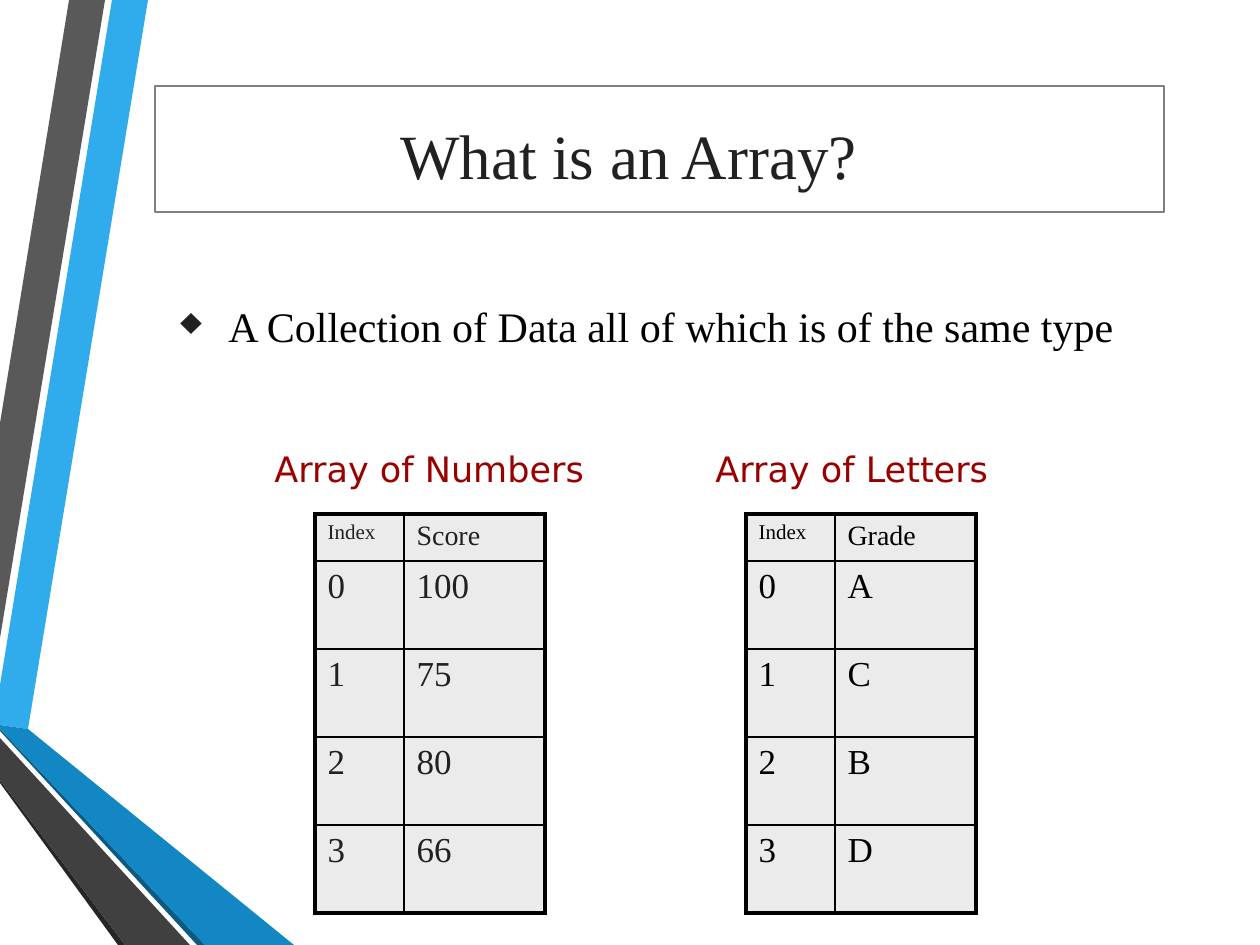
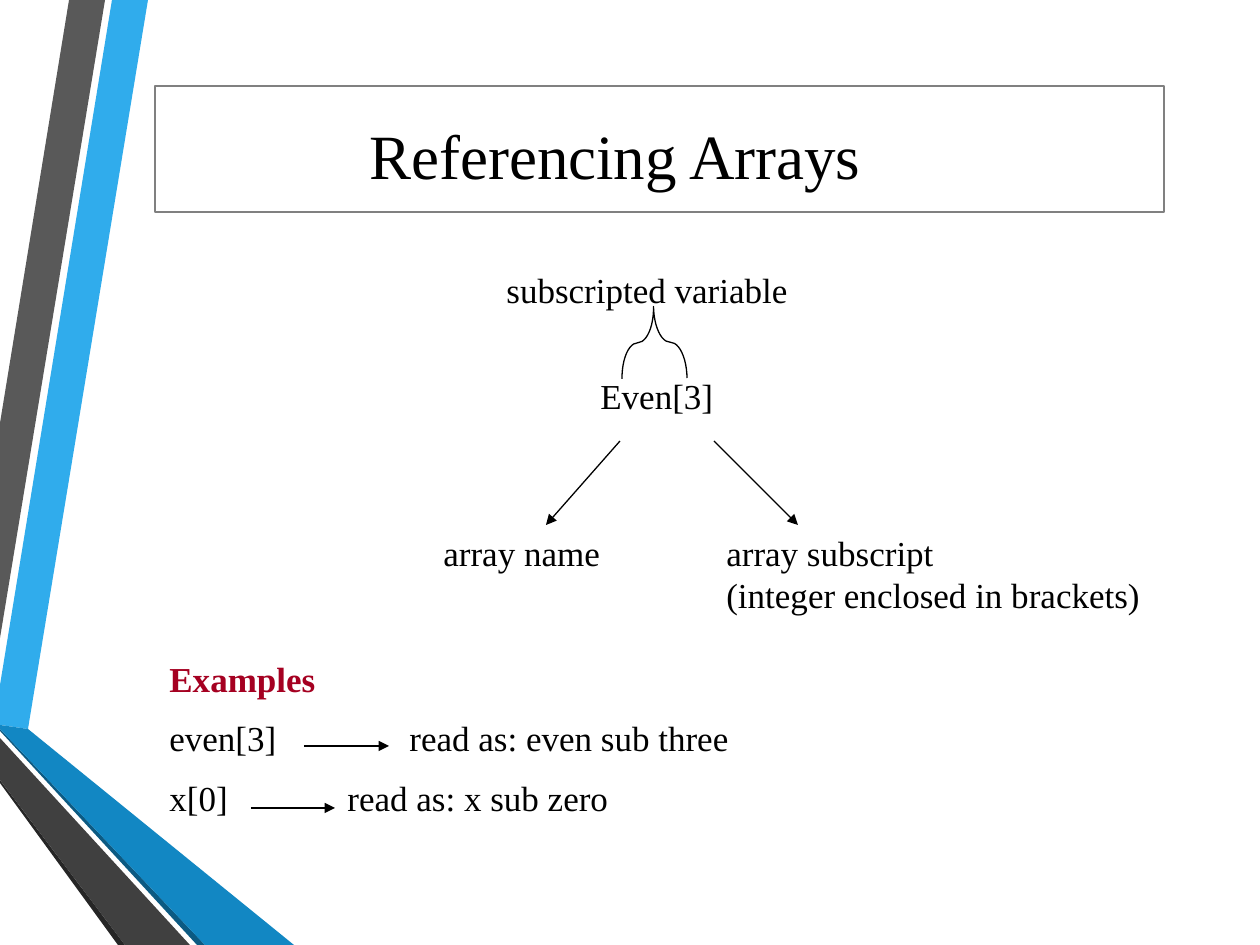
from lxml import etree
from pptx import Presentation
from pptx.dml.color import RGBColor
from pptx.enum.shapes import MSO_CONNECTOR, MSO_SHAPE
from pptx.enum.text import MSO_ANCHOR
from pptx.oxml import parse_xml
from pptx.oxml.ns import qn
from pptx.util import Emu, Pt

STRAIGHT = MSO_CONNECTOR.STRAIGHT
RECT, BRACE = MSO_SHAPE.RECTANGLE, MSO_SHAPE.LEFT_BRACE
TOP, BOTTOM = MSO_ANCHOR.TOP, MSO_ANCHOR.BOTTOM
NS = 'xmlns:a="http://schemas.openxmlformats.org/drawingml/2006/main"'
SCALE = 914400 / 126
W, H = 1260, 945
SERIF, SANS = "Times New Roman", "DejaVu Sans"
COLORS = {
    "black": "000000", "ink": "212121", "white": "FFFFFF", "frame": "808080",
    "cell": "EBEBEB", "caption": "990000", "heading": "A50021",
    "sky": "30ACEC", "gray": "595959", "shade": "262626",
    "navy": "0C5A82", "blue": "1287C3", "charcoal": "404040",
}

# Shared content: ribbon outlines and title frame
RIBBONS = [
    ("sky", [(0, 685), (0, 725), (28, 729), (148, 0), (112, 0)]),
    ("gray", [(105, 0), (69, 0), (0, 423), (0, 638)]),
    ("shade", [(0, 780), (0, 783), (118, H), (125, H)]),
    ("navy", [(0, 729), (0, 731), (197, H), (205, H)]),
    ("blue", [(0, 729), (205, H), (294, H), (28, 729), (0, 725)]),
    ("charcoal", [(0, 780), (125, H), (190, H), (0, 738)]),
]
FRAME = (155, 86, 1009, 126)

# Slide 1 content
DEFINITION = "A Collection of Data all of which is of the same type"
ARRAYS = [
    dict(caption="Array of Numbers", caption_box=(262, 441, 336, 54), left=315,
         color="ink", head=("Index", "Score"), values=["100", "75", "80", "66"]),
    dict(caption="Array of Letters", caption_box=(703, 441, 300, 54), left=746,
         color="black", head=("Index", "Grade"), values=["A", "C", "B", "D"]),
]
TABLE_TOP, COL_WIDTHS, HEAD_H, ROW_H = 514, (89, 141), 47, 88
HEAD_SIZES, VALUE_SIZE = (12, 16), 20

# Slide 2 content
LABELS = [
    ((588, 368, 139, 55), ["Even[3]"]),
    ((494, 262, 309, 55), ["subscripted variable"]),
    ((431, 525, 183, 55), ["array name"]),
    ((714, 525, 441, 97), ["array subscript", "(integer enclosed in brackets)"]),
]
EXAMPLES = [
    ("Examples", dict(color="heading", bold=True)),
    ("even[3]\tread as: even sub three", dict(tab=240)),
    ("x[0]\tread as: x sub zero", dict(tab=178)),
]
ARROWS = [(620, 441, 546, 525), (714, 441, 798, 525),
          (304, 746, 389, 746), (251, 808, 335, 808)]
BRACE_BOX = (618, 310, 72, 65)


def px(n):
    return Emu(round(n * SCALE))


def rgb(name):
    return RGBColor.from_string(COLORS[name])


def fill(sp, name):
    sp.fill.solid()
    sp.fill.fore_color.rgb = rgb(name)


def write(p, text, size=20, color="black", font=SERIF, bold=False,
          before=0, tab=None, bullet=None, shadow=False):
    """Fill one paragraph; before is a share of the text size."""
    p.space_before = Pt(size * before)
    r = p.add_run()
    r.text = text
    r.font.size, r.font.name, r.font.bold = Pt(size), font, bold
    r.font.color.rgb = rgb(color)
    pPr = p._p.get_or_add_pPr()
    if bullet:
        pPr.set("marL", str(px(48)))
        pPr.set("indent", str(-px(48)))
        for xml in (f'<a:buClr {NS}><a:srgbClr val="{COLORS["ink"]}"/></a:buClr>',
                    f'<a:buSzPct {NS} val="90000"/>',
                    f'<a:buChar {NS} char="{bullet}"/>'):
            pPr.append(parse_xml(xml))
    if tab:
        pPr.append(parse_xml(
            f'<a:tabLst {NS}><a:tab pos="{px(tab)}" algn="l"/></a:tabLst>'))
    if shadow:
        r.font._element.find(qn("a:solidFill")).addnext(parse_xml(
            f'<a:effectLst {NS}><a:outerShdw dist="38100" dir="2700000">'
            '<a:srgbClr val="C0C0C0"/></a:outerShdw></a:effectLst>'))


def add_text(slide, box, paras, wrap=True, anchor=TOP, **fmt):
    """Add a text box; a paragraph is a string or (string, own format)."""
    tf = slide.shapes.add_textbox(*map(px, box)).text_frame
    tf.word_wrap, tf.vertical_anchor = wrap, anchor
    for i, para in enumerate(paras):
        text, own = (para, {}) if isinstance(para, str) else para
        p = tf.add_paragraph() if i else tf.paragraphs[0]
        write(p, text, **{**fmt, **own})


def add_base(prs):
    """Start a slide with the ribbons and the title frame."""
    slide = prs.slides.add_slide(prs.slide_layouts[6])
    for color, points in RIBBONS:
        fb = slide.shapes.build_freeform(*points[0], scale=SCALE)
        fb.add_line_segments(points[1:], close=True)
        sp = fb.convert_to_shape()
        sp.shadow.inherit = False
        fill(sp, color)
        sp.line.fill.background()
    sp = slide.shapes.add_shape(RECT, *map(px, FRAME))
    sp.shadow.inherit = False
    fill(sp, "white")
    sp.line.color.rgb, sp.line.width = rgb("frame"), Pt(0.75)
    return slide


def set_borders(cell, widths):
    tcPr = cell._tc.get_or_add_tcPr()
    for i, (side, width) in enumerate(zip("LRTB", widths)):
        tcPr.insert(i, parse_xml(
            f'<a:ln{side} {NS} w="{Pt(width)}"><a:solidFill>'
            f'<a:srgbClr val="{COLORS["black"]}"/></a:solidFill></a:ln{side}>'))


def add_array(slide, array):
    """Add a table of indexed values with a thick outer border."""
    rows = [array["head"]] + [(str(i), v) for i, v in enumerate(array["values"])]
    heights = [HEAD_H] + [ROW_H] * len(array["values"])
    table = slide.shapes.add_table(
        len(rows), len(COL_WIDTHS), px(array["left"]), px(TABLE_TOP),
        px(sum(COL_WIDTHS)), px(sum(heights))).table
    table.first_row = table.horz_banding = False
    for c, width in enumerate(COL_WIDTHS):
        table.columns[c].width = px(width)
    for r, row in enumerate(rows):
        table.rows[r].height = px(heights[r])
        for c, text in enumerate(row):
            cell = table.cell(r, c)
            fill(cell, "cell")
            edges = (c == 0, c == len(row) - 1, r == 0, r == len(rows) - 1)
            set_borders(cell, [2.25 if edge else 1 for edge in edges])
            write(cell.text_frame.paragraphs[0], text, color=array["color"],
                  size=VALUE_SIZE if r else HEAD_SIZES[c], before=0.2)


def add_arrow(slide, ends):
    sp = slide.shapes.add_connector(STRAIGHT, *map(px, ends))
    sp.line.color.rgb, sp.line.width = rgb("black"), Pt(0.75)
    etree.SubElement(sp.line._get_or_add_ln(), qn("a:tailEnd"), type="triangle")
    etree.SubElement(sp._element.spPr, qn("a:effectLst"))


prs = Presentation()
prs.slide_width, prs.slide_height = px(W), px(H)

# Slide 1: definition and two sample arrays
slide = add_base(prs)
add_text(slide, (388, 45, 903, 153), ["What is an Array?"], anchor=BOTTOM,
         size=36, color="ink", shadow=True)
add_text(slide, (168, 294, 1071, 603), [DEFINITION], size=24, before=0.2,
         bullet="\u2666")
for array in ARRAYS:
    add_array(slide, array)
    add_text(slide, array["caption_box"], [array["caption"]], wrap=False,
             font=SANS, color="caption")

# Slide 2: parts of a subscripted variable
slide = add_base(prs)
add_text(slide, (357, 110, 1155, 89), ["Referencing Arrays"], size=36)
add_text(slide, (157, 651, 1144, 183), EXAMPLES, before=0.5)
for box, lines in LABELS:
    add_text(slide, box, lines, wrap=False)
sp = slide.shapes.add_shape(BRACE, *map(px, BRACE_BOX))
sp.shadow.inherit = False
sp.rotation = 89.2
sp.adjustments[0], sp.adjustments[1] = 1.25, 0.5
sp.fill.background()
sp.line.color.rgb, sp.line.width = rgb("black"), Pt(0.75)
for ends in ARROWS:
    add_arrow(slide, ends)

prs.save("out.pptx")
